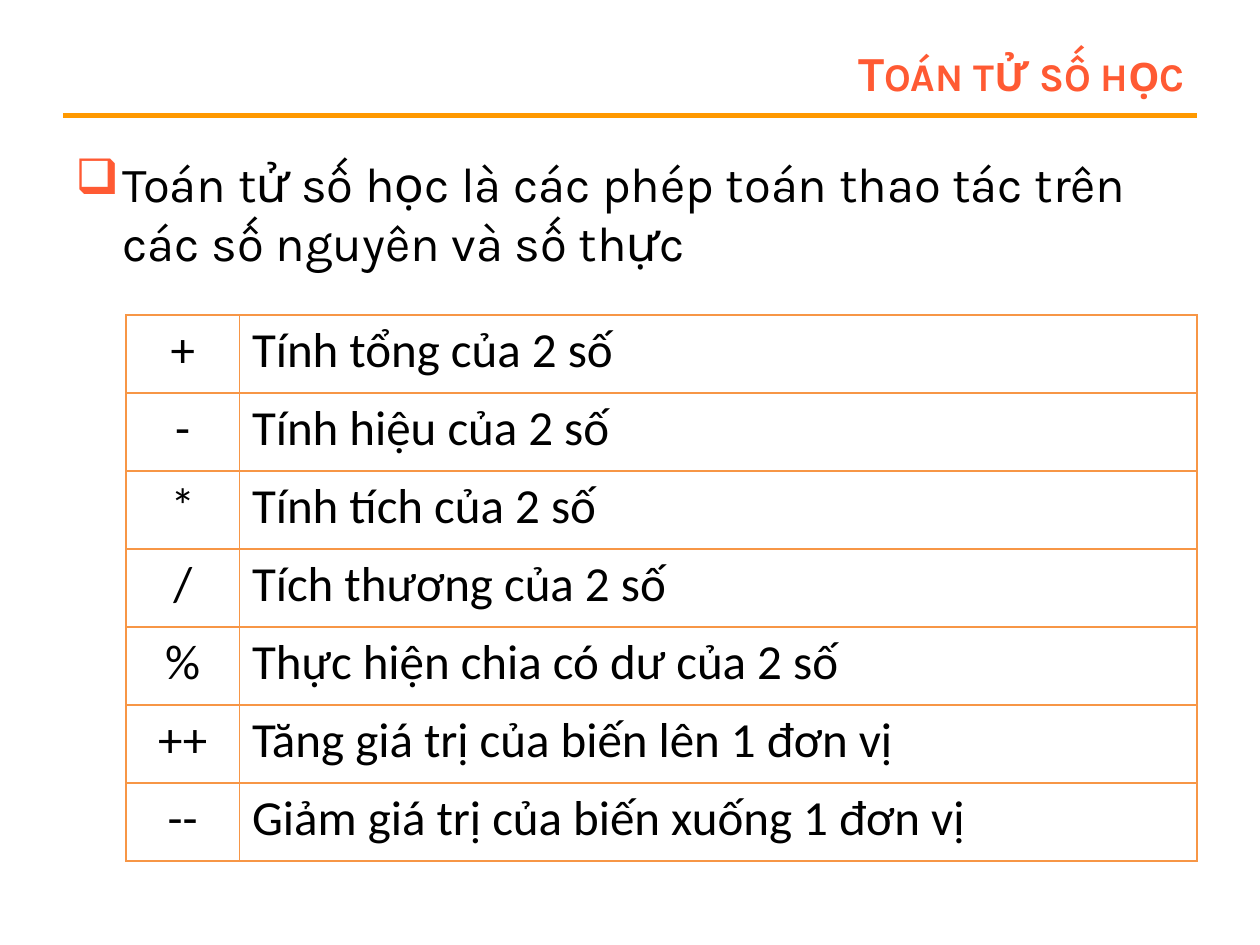
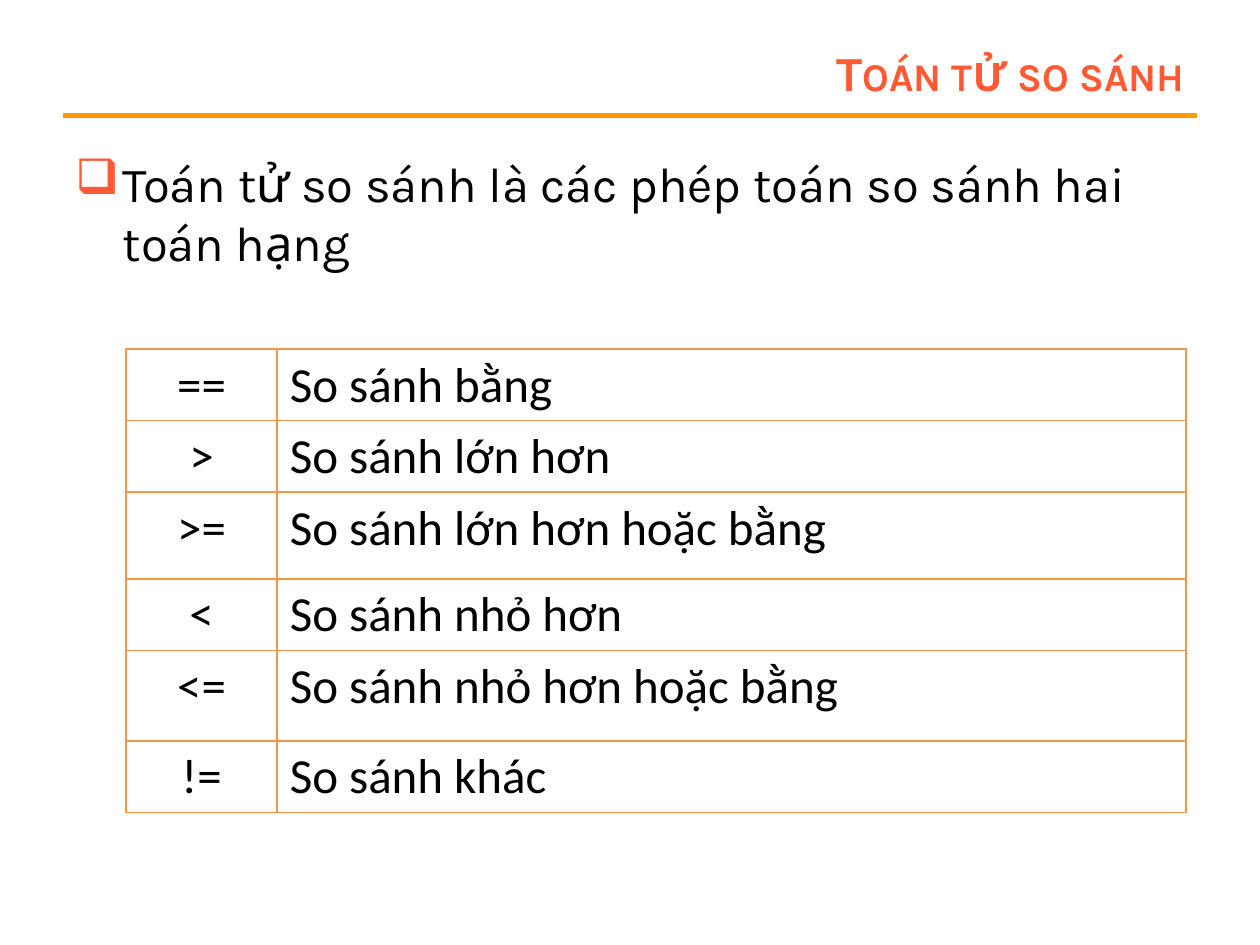
from dataclasses import dataclass

from lxml.etree import SubElement
from pptx import Presentation
from pptx.dml.color import RGBColor
from pptx.enum.shapes import MSO_CONNECTOR
from pptx.enum.text import MSO_ANCHOR, PP_ALIGN
from pptx.oxml.ns import qn
from pptx.slide import Slide
from pptx.table import _Cell
from pptx.text.text import TextFrame, _Paragraph
from pptx.util import Pt

COLORS = {
    "accent": "FF5A33",
    "rule": "FF9900",
    "border": "F79646",
    "text": "000000",
}
HEADING_FONT = "Karla"
TABLE_FONT = "Calibri"
TEXT_SIZE = 28
BULLET_INDENT = 27


@dataclass
class OperatorSlide:
    title: str
    definition: str
    definition_height: float
    table_top: float
    column_widths: tuple[float, float]
    row_heights: list[float]
    operators: list[tuple[str, str]]


OPERATOR_SLIDES = [
    OperatorSlide(
        title="Toán tử số học",
        definition="Toán tử số học là các phép toán thao tác trên các số nguyên và số thực",
        definition_height=414,
        table_top=180,
        column_widths=(64.8, 547.2),
        row_heights=[44.57] * 7,
        operators=[
            ("+", "Tính tổng của 2 số"),
            ("-", "Tính hiệu của 2 số"),
            ("*", "Tính tích của 2 số"),
            ("/", "Tích thương của 2 số"),
            ("%", "Thực hiện chia có dư của 2 số"),
            ("++", "Tăng giá trị của biến lên 1 đơn vị"),
            ("--", "Giảm giá trị của biến xuống 1 đơn vị"),
        ],
    ),
    OperatorSlide(
        title="Toán tử so sánh",
        definition="Toán tử so sánh là các phép toán so sánh hai toán hạng",
        definition_height=84,
        table_top=199.5,
        column_widths=(86.4, 519.4),
        row_heights=[38.2, 38.2, 49.7, 38.2, 51.6, 38.2],
        operators=[
            ("==", "So sánh bằng"),
            (">", "So sánh lớn hơn"),
            (">=", "So sánh lớn hơn hoặc bằng"),
            ("<", "So sánh nhỏ hơn"),
            ("<=", "So sánh nhỏ hơn hoặc bằng"),
            ("!=", "So sánh khác"),
        ],
    ),
]


def rgb(name: str) -> RGBColor:
    return RGBColor.from_string(COLORS[name])


def write(frame: TextFrame, text: str, font: str, color: str,
          align: PP_ALIGN = PP_ALIGN.LEFT) -> _Paragraph:
    paragraph = frame.paragraphs[0]
    paragraph.text = text
    paragraph.alignment = align
    paragraph.font.name = font
    paragraph.font.size = Pt(TEXT_SIZE)
    paragraph.font.color.rgb = rgb(color)
    return paragraph


def add_frame(slide: Slide, left: float, top: float, width: float, height: float) -> TextFrame:
    frame = slide.shapes.add_textbox(Pt(left), Pt(top), Pt(width), Pt(height)).text_frame
    frame.word_wrap = True
    return frame


def add_header(slide: Slide, title: str) -> None:
    # Rule under the title
    rule = slide.shapes.add_connector(MSO_CONNECTOR.STRAIGHT, Pt(36), Pt(66), Pt(684), Pt(66))
    rule.line.color.rgb = rgb("rule")
    rule.line.width = Pt(3)
    SubElement(rule._element.spPr, qn("a:effectLst"))

    # Title in bold small capitals
    frame = add_frame(slide, 162, 21.6, 522, 38.4)
    frame.vertical_anchor = MSO_ANCHOR.MIDDLE
    paragraph = write(frame, title, HEADING_FONT, "accent", PP_ALIGN.RIGHT)
    paragraph.font.bold = True
    paragraph._p.pPr.find(qn("a:defRPr")).set("cap", "small")


def add_definition(slide: Slide, text: str, height: float) -> None:
    frame = add_frame(slide, 36, 84, 648, height)
    paragraph = write(frame, text, HEADING_FONT, "text")
    paragraph.space_before = Pt(0.2 * TEXT_SIZE)

    # Hanging square bullet, placed ahead of the font properties
    properties = paragraph._p.pPr
    properties.set("marL", str(Pt(BULLET_INDENT)))
    properties.set("indent", str(-Pt(BULLET_INDENT)))
    bullet_color = SubElement(properties, qn("a:buClr"))
    SubElement(bullet_color, qn("a:srgbClr"), val=COLORS["accent"])
    bullet = SubElement(properties, qn("a:buChar"), char="❑")
    properties.find(qn("a:defRPr")).addprevious(bullet_color)
    bullet_color.addnext(bullet)


def add_borders(cell: _Cell) -> None:
    properties = cell._tc.get_or_add_tcPr()
    for position, side in enumerate(("lnL", "lnR", "lnT", "lnB")):
        border = SubElement(properties, qn(f"a:{side}"), w=str(Pt(1)))
        fill = SubElement(border, qn("a:solidFill"))
        SubElement(fill, qn("a:srgbClr"), val=COLORS["border"])
        properties.insert(position, border)


def add_operator_table(slide: Slide, content: OperatorSlide) -> None:
    table = slide.shapes.add_table(
        len(content.operators), 2, Pt(72), Pt(content.table_top),
        Pt(sum(content.column_widths)), Pt(sum(content.row_heights)),
    ).table
    table.first_row = False
    table.horz_banding = False
    for column, width in zip(table.columns, content.column_widths):
        column.width = Pt(width)
    for row, height, operator in zip(table.rows, content.row_heights, content.operators):
        row.height = Pt(height)
        for cell, text, align in zip(row.cells, operator, (PP_ALIGN.CENTER, PP_ALIGN.LEFT)):
            write(cell.text_frame, text, TABLE_FONT, "text", align)
            cell.fill.background()
            add_borders(cell)


def main() -> None:
    presentation = Presentation()
    presentation.slide_width = Pt(720)
    presentation.slide_height = Pt(540)
    blank_layout = presentation.slide_layouts[6]
    for content in OPERATOR_SLIDES:
        slide = presentation.slides.add_slide(blank_layout)
        add_header(slide, content.title)
        add_definition(slide, content.definition, content.definition_height)
        add_operator_table(slide, content)
    presentation.save("out.pptx")


if __name__ == "__main__":
    main()
